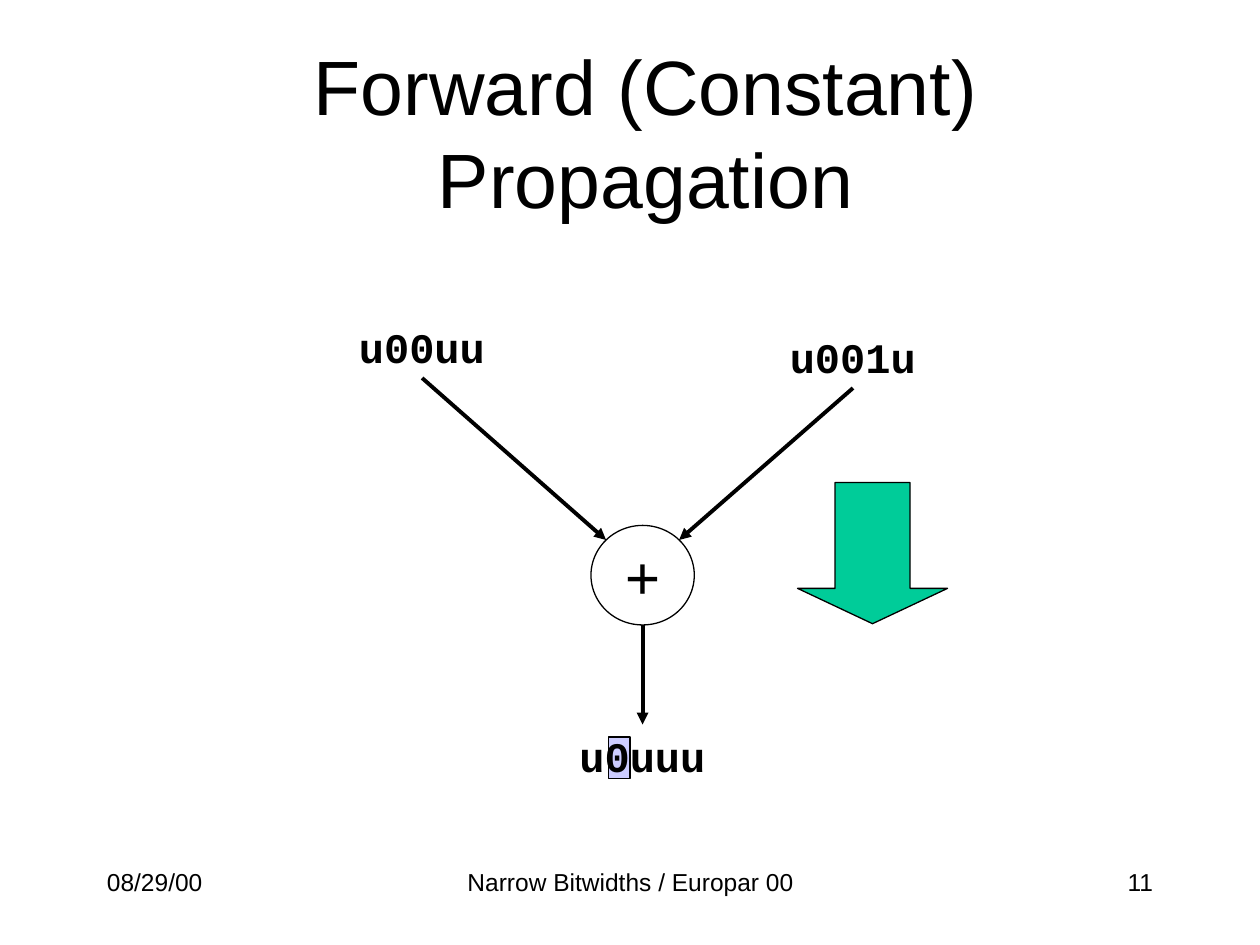
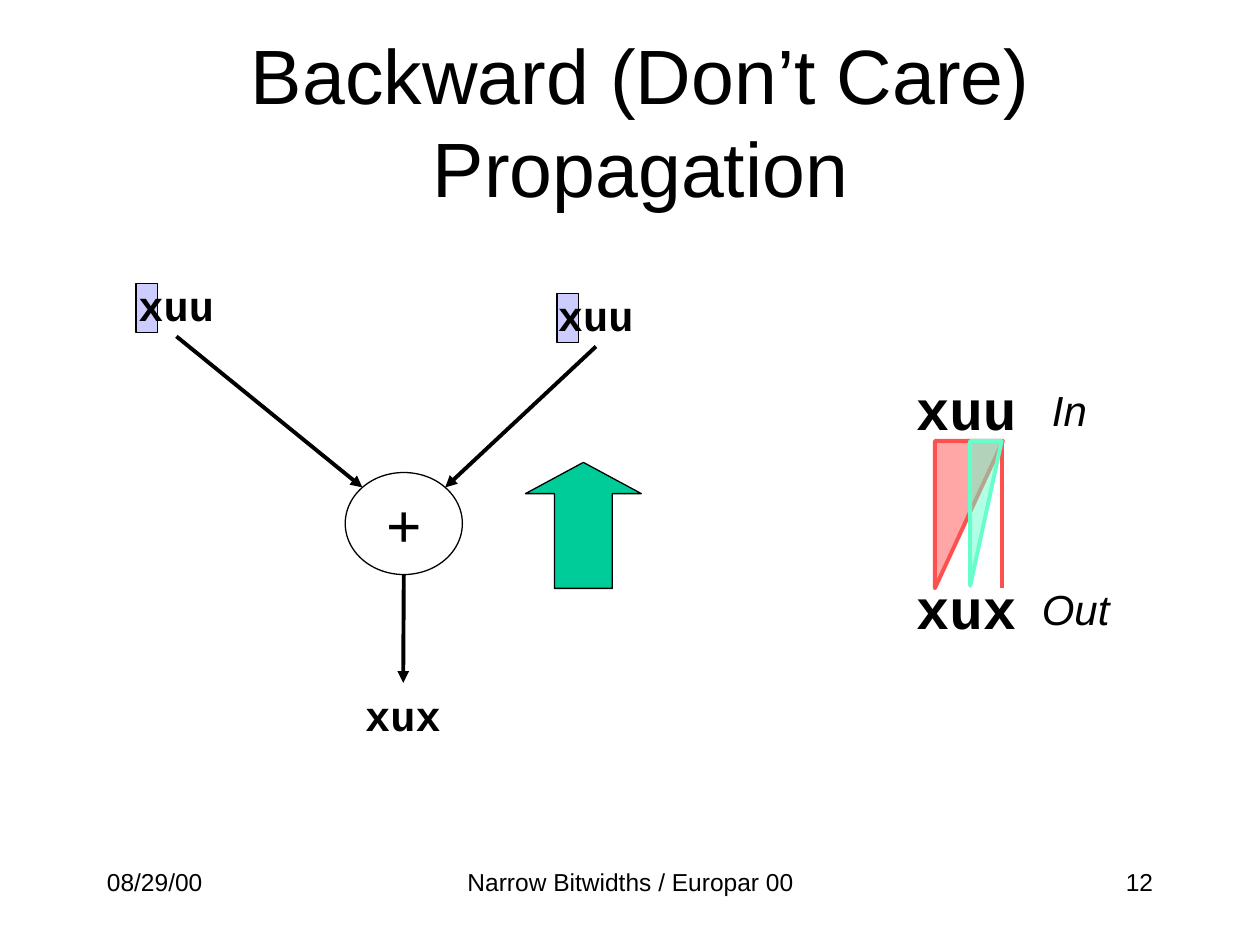
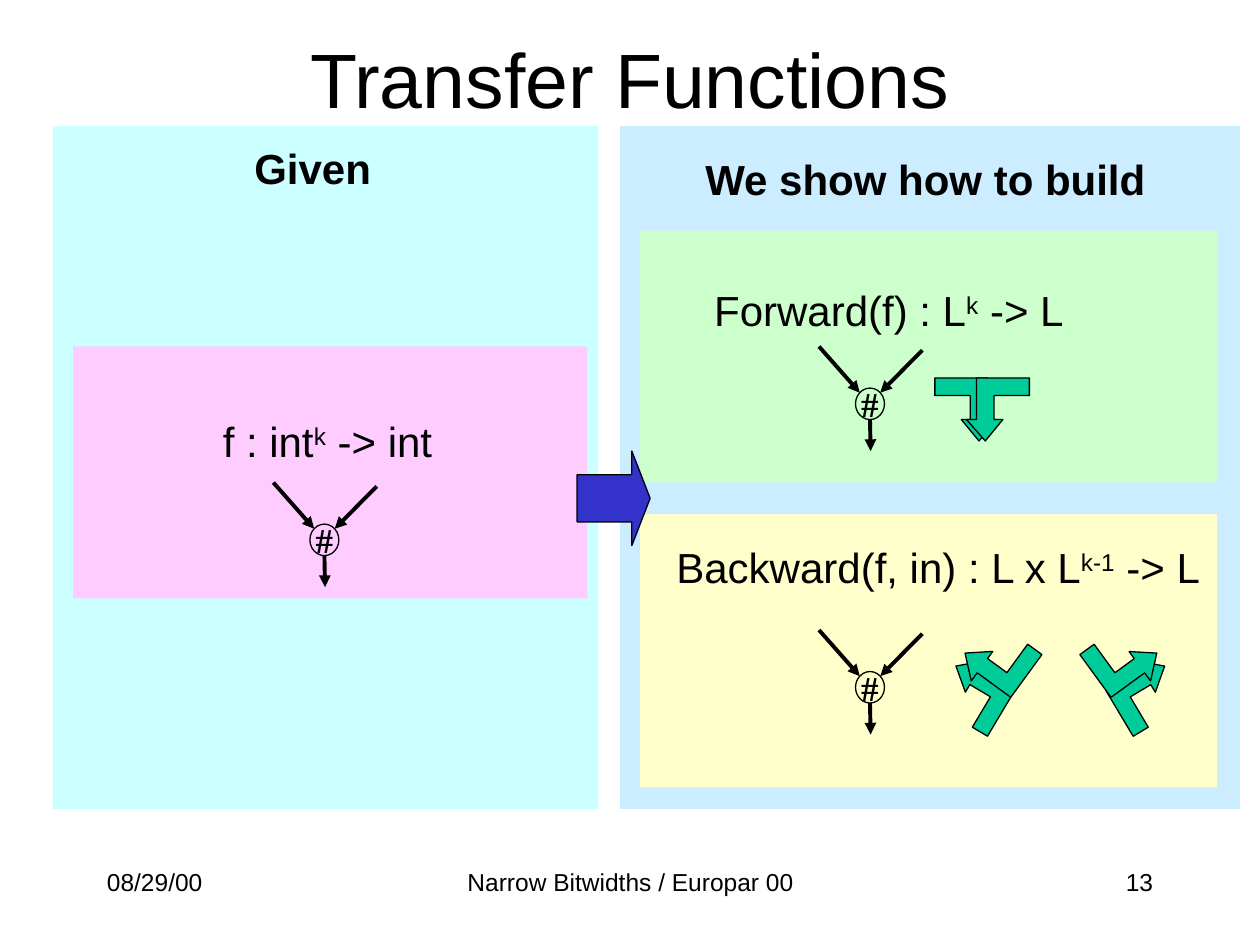
from dataclasses import dataclass
from math import sqrt
from lxml.etree import SubElement
from pptx import Presentation
from pptx.dml.color import RGBColor
from pptx.enum.shapes import MSO_CONNECTOR, MSO_SHAPE
from pptx.enum.text import MSO_ANCHOR, MSO_AUTO_SIZE, PP_ALIGN
from pptx.oxml.ns import qn
from pptx.util import Inches, Pt


@dataclass(frozen=True)
class Theme:
    ink: str = "000000"
    mark: str = "CCCCFF"
    flow: str = "00CC99"
    step: str = "3333CC"
    red: str = "FF5050"
    mint: str = "66FFCC"
    thin: float = 0.75
    thick: float = 2.25


LOOK = Theme()
FONTS = {
    "title": {"name": "Arial", "size": Pt(44)},
    "foot": {"name": "Arial", "size": Pt(14)},
    "head": {"name": "Arial", "size": Pt(24), "bold": True},
    "type": {"name": "Arial", "size": Pt(24)},
    "note": {"name": "Arial", "size": Pt(24), "italic": True},
    "bits": {"name": "Courier New", "size": Pt(24), "bold": True},
    "large": {"name": "Courier New", "size": Pt(32), "bold": True},
    "plus": {"name": "Times New Roman", "size": Pt(36), "bold": True},
    "hash": {"name": "Times New Roman", "size": Pt(20), "bold": True},
}
FIT = {"word_wrap": False, "auto_size": MSO_AUTO_SIZE.SHAPE_TO_FIT_TEXT}
WRAP = {"word_wrap": True}
MID = {"word_wrap": True, "vertical_anchor": MSO_ANCHOR.MIDDLE}
SIGN = {"word_wrap": False, "vertical_anchor": MSO_ANCHOR.MIDDLE}

FOOT = [
    ("Narrow Bitwidths / Europar 00", (3.42, 6.83, 3.17, 0.5), PP_ALIGN.CENTER),
    ("{page}", (7.17, 6.83, 2.08, 0.5), PP_ALIGN.RIGHT),
    ("08/29/00", (0.75, 6.83, 2.08, 0.5), PP_ALIGN.LEFT),
]
FLOWS = [
    {
        "title": ("Forward (Constant) Propagation", (0.75, 0.33, 8.75, 1.42)),
        "marks": [(4.83, 5.85, 0.17, 0.33)],
        "words": [
            ("u00uu", (2.75, 2.5, 1.2, 0.5)),
            ("u001u", (6.17, 2.58, 1.2, 0.5)),
            ("u0uuu", (4.5, 5.75, 1.2, 0.5)),
        ],
        "node": (4.69, 4.17, 0.82, 0.79),
        "arrow": (MSO_SHAPE.DOWN_ARROW, (6.33, 3.83, 1.19, 1.12), 0.25),
    },
    {
        "title": ("Backward (Don’t Care) Propagation", (0.75, 0.33, 8.67, 1.25)),
        "marks": [(4.42, 2.33, 0.17, 0.39), (1.08, 2.25, 0.17, 0.39)],
        "words": [
            ("xuu", (1, 2.17, 0.8, 0.5)),
            ("xuu", (4.33, 2.25, 0.8, 0.5)),
            ("xux", (2.8, 5.42, 0.8, 0.5)),
        ],
        "node": (2.74, 3.75, 0.93, 0.81),
        "arrow": (MSO_SHAPE.UP_ARROW, (4.17, 3.67, 0.92, 1), 0.27),
    },
]
CASE = [
    ("xux", (7.17, 4.5, 1, 0.64), "large"),
    ("xuu", (7.17, 2.92, 1, 0.64), "large"),
    ("In", (8.25, 3, 0.48, 0.5), "note"),
    ("Out", (8.17, 4.58, 0.74, 0.5), "note"),
]
WEDGES = [
    ((7.42, 3.5, 0.54, 1.17), LOOK.red),
    ((7.7, 3.5, 0.25, 1.15), LOOK.mint),
]
PANELS = [
    ((0.42, 1, 4.33, 5.42), "CCFFFF"),
    ((0.58, 2.75, 4.08, 2), "FFCCFF"),
    ((4.92, 1, 4.92, 5.42), "CCECFF"),
    ((5.08, 1.83, 4.58, 2), "CCFFCC"),
    ((5.08, 4.08, 4.58, 2.17), "FFFFCC"),
]
RULES = [
    ("f : int^k^ -> int", (1.67, 3.25, 1.86, 0.5), "type"),
    ("Forward(f) : L^k^ -> L", (5.57, 2.21, 2.97, 0.5), "type"),
    ("Backward(f, in) : L x L^k-1^ -> L", (5.27, 4.25, 4.37, 0.5), "type"),
    ("Given", (1.92, 1.08, 1.16, 0.5), "head"),
    ("We show how to build", (5.5, 1.17, 3.7, 0.5), "head"),
]
TREES = [(6.79, 5.33), (6.79, 3.08), (2.46, 4.16)]
BEND = [(0, 0.14), (0.28, 0.14), (0.28, 0.33), (0.21, 0.33), (0.35, 0.5),
        (0.5, 0.33), (0.42, 0.33), (0.42, 0), (0, 0)]
BENDS = [
    (7.42, 3, False, 0),
    (7.67, 3, True, 0),
    (7.5, 5.25, True, 120.8),
    (7.67, 5, False, 126.1),
    (8.83, 5.25, False, 239.2),
    (8.67, 5, True, 233.9),
]


def put(item, form):
    for key, value in form.items():
        setattr(item, key, value)


def tint(name):
    return RGBColor.from_string(name)


def span(box):
    return [Inches(n) for n in box]


def write(shape, text, font, frame, align=PP_ALIGN.LEFT):
    put(shape.text_frame, frame)
    para = shape.text_frame.paragraphs[0]
    para.alignment = align
    for spot, part in enumerate(text.split("^")):
        run = para.add_run()
        run.text = part
        put(run.font, FONTS[font])
        run.font.color.rgb = tint(LOOK.ink)
        if spot % 2:
            run._r.get_or_add_rPr().set("baseline", "30000")


def label(slide, text, box, font, frame=FIT, align=PP_ALIGN.LEFT):
    shape = slide.shapes.add_textbox(*span(box))
    write(shape, text, font, frame, align)
    return shape


def paint(shape, fill=None, line=LOOK.ink, width=LOOK.thin):
    shape.shadow.inherit = False
    if fill:
        shape.fill.solid()
        shape.fill.fore_color.rgb = tint(fill)
    else:
        shape.fill.background()
    if line:
        shape.line.width = Pt(width)
        shape.line.color.rgb = tint(line)
    else:
        shape.line.fill.background()


def draw(slide, kind, box, *style):
    shape = slide.shapes.add_shape(kind, *span(box))
    paint(shape, *style)
    return shape


def link(slide, start, end, color=LOOK.ink, head=True):
    line = slide.shapes.add_connector(MSO_CONNECTOR.STRAIGHT, *span(start + end))
    line.line.width = Pt(LOOK.thick)
    line.line.color.rgb = tint(color)
    if head:
        SubElement(line.line._get_or_add_ln(), qn("a:tailEnd"), type="triangle")
    SubElement(line._element.spPr, qn("a:effectLst"))
    return line


def tree(slide, box, sign, font, tips):
    left, top, wide, high = box
    node = draw(slide, MSO_SHAPE.OVAL, box)
    write(node, sign, font, SIGN, PP_ALIGN.CENTER)
    inset = (1 - sqrt(0.5)) / 2
    rim = top + high * inset
    first, second, last = tips
    return [
        link(slide, first, (left + wide * inset, rim)),
        link(slide, second, (left + wide * (1 - inset), rim)),
        link(slide, (left + wide / 2, top + high), last),
    ]


def arrow(slide, kind, box, depth, fill):
    shape = draw(slide, kind, box, fill)
    shape.adjustments[0] = 0.5
    shape.adjustments[1] = depth


def wedge(slide, box, color):
    shape = draw(slide, MSO_SHAPE.RIGHT_TRIANGLE, box, color, color, LOOK.thick)
    shape._element.spPr.xfrm.set("flipV", "1")
    shade = shape._element.spPr.find(".//" + qn("a:srgbClr"))
    SubElement(shade, qn("a:alpha"), val="50000")


def bend(slide, left, top, flip, angle):
    dots = [(Inches(left + (0.5 - x if flip else x)), Inches(top + y)) for x, y in BEND]
    pen = slide.shapes.build_freeform(*dots[0])
    pen.add_line_segments(dots[1:], close=True)
    shape = pen.convert_to_shape()
    paint(shape, LOOK.flow)
    shape.rotation = angle


def begin(deck, page, title, box):
    slide = deck.slides.add_slide(deck.slide_layouts[6])
    label(slide, title, box, "title", MID, PP_ALIGN.CENTER)
    for text, place, align in FOOT:
        label(slide, text.format(page=page), place, "foot", WRAP, align)
    return slide


def flow(deck, page, data):
    slide = begin(deck, page, *data["title"])
    for box in data["marks"]:
        draw(slide, MSO_SHAPE.RECTANGLE, box, LOOK.mark)
    words = [label(slide, text, box, "bits") for text, box in data["words"]]
    tips = [(x + w / 2, y + h) for _, (x, y, w, h) in data["words"][:2]]
    x, y, w, _ = data["words"][2][1]
    lines = tree(slide, data["node"], "+", "plus", tips + [(x + w / 2, y)])
    for line, word in zip(lines[:2], words):
        line.begin_connect(word, 2)
    lines[2].end_connect(words[2], 0)
    arrow(slide, *data["arrow"], LOOK.flow)
    return slide


def case(slide):
    for item in CASE:
        label(slide, *item)
    link(slide, (7.95, 4.67), (7.95, 3.5), LOOK.red, False)
    for item in WEDGES:
        wedge(slide, *item)


def rules(deck, page):
    slide = begin(deck, page, "Transfer Functions", (0.75, 0.33, 8.5, 0.58))
    for box, fill in PANELS:
        draw(slide, MSO_SHAPE.RECTANGLE, box, fill, None)
    for item in RULES:
        label(slide, *item)
    for x, y in TREES:
        tips = [(x - 0.29, y - 0.33), (x + 0.53, y - 0.3), (x + 0.12, y + 0.5)]
        tree(slide, (x, y, 0.23, 0.25), "#", "hash", tips)
    for item in BENDS:
        bend(slide, *item)
    arrow(slide, MSO_SHAPE.RIGHT_ARROW, (4.58, 3.58, 0.58, 0.75), 0.25, LOOK.step)


def main():
    deck = Presentation()
    put(deck, {"slide_width": Inches(10), "slide_height": Inches(7.5)})
    slides = [flow(deck, page, data) for page, data in enumerate(FLOWS, 11)]
    case(slides[1])
    rules(deck, 13)
    deck.save("out.pptx")


if __name__ == "__main__":
    main()
